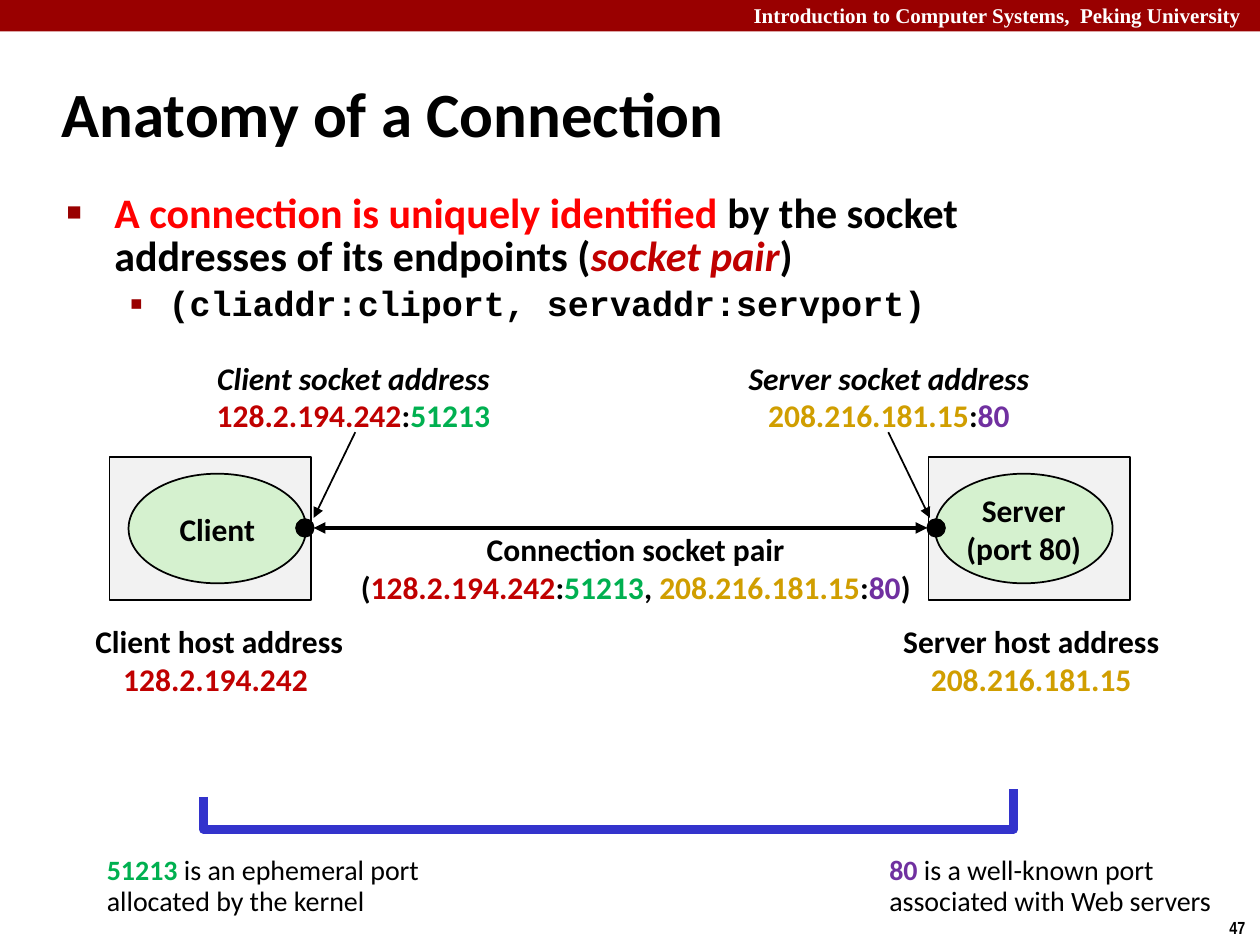
from lxml.etree import SubElement
from pptx import Presentation
from pptx.dml.color import RGBColor
from pptx.enum.shapes import MSO_CONNECTOR, MSO_SHAPE
from pptx.enum.text import MSO_ANCHOR, MSO_AUTO_SIZE, PP_ALIGN
from pptx.oxml.ns import qn
from pptx.util import Emu, Pt

PX = 9144  # 100 px to the inch

BLACK = RGBColor(0, 0, 0)
WHITE = RGBColor(255, 255, 255)
MAROON = RGBColor(0x99, 0, 0)
RED = RGBColor(0xFF, 0, 0)
CRIMSON = RGBColor(0xC0, 0, 0)
GREEN = RGBColor(0, 0xB0, 0x50)
GOLD = RGBColor(0xD0, 0x9E, 0)
PURPLE = RGBColor(0x70, 0x30, 0xA0)
BLUE = RGBColor(0x33, 0x33, 0xCC)
HOST_GRAY = RGBColor(0xF2, 0xF2, 0xF2)
PROCESS_GREEN = RGBColor(0xD5, 0xF1, 0xCF)


def bold(text, color=BLACK):
    """A run: text, colour and style, where style holds "b" and "i"."""
    return text, color, "b"


def px(*lengths):
    return [Emu(length * PX) for length in lengths]


CLIENT_IP = bold("128.2.194.242", CRIMSON)
CLIENT_PORT = bold("51213", GREEN)
SERVER_IP = bold("208.216.181.15", GOLD)
SERVER_PORT = bold("80", PURPLE)


class SlideBuilder:
    def __init__(self, slide, font="Calibri"):
        self.slide = slide
        self.font = font

    def add_paragraphs(self, frame, paragraphs, size, align=PP_ALIGN.LEFT, font=None,
                       spacing=None):
        """Fill a text frame; each paragraph is a list of runs."""
        for number, runs in enumerate(paragraphs):
            paragraph = frame.add_paragraph() if number else frame.paragraphs[0]
            paragraph.alignment = align
            if spacing:
                paragraph.line_spacing = spacing
            self.add_runs(paragraph, runs, size, font)

    def add_runs(self, paragraph, runs, size, font=None):
        for text, color, style in runs:
            run = paragraph.add_run()
            run.text = text
            run.font.name = font or self.font
            run.font.size = Pt(size)
            run.font.bold = "b" in style
            run.font.italic = "i" in style
            run.font.color.rgb = color

    def text(self, box, paragraphs, size, anchor=MSO_ANCHOR.TOP, wrap=False, grow=True, **style):
        frame = self.slide.shapes.add_textbox(*px(*box)).text_frame
        frame.word_wrap = wrap
        frame.auto_size = MSO_AUTO_SIZE.SHAPE_TO_FIT_TEXT if grow else MSO_AUTO_SIZE.NONE
        frame.vertical_anchor = anchor
        self.add_paragraphs(frame, paragraphs, size, **style)
        return frame

    def label(self, box, *paragraphs, wrap=False):
        self.text(box, paragraphs, 18, MSO_ANCHOR.MIDDLE, wrap, align=PP_ALIGN.CENTER)

    def bullet(self, paragraph, char, margin, hanging, percent):
        properties = paragraph._p.get_or_add_pPr()
        properties.set("marL", str(margin * PX))
        properties.set("indent", str(-hanging * PX))
        color = SubElement(properties, qn("a:buClr"))
        SubElement(color, qn("a:srgbClr"), val=str(MAROON))
        SubElement(properties, qn("a:buSzPct"), val=str(percent * 1000))
        SubElement(properties, qn("a:buFont"), typeface="Arial")
        SubElement(properties, qn("a:buChar"), char=char)

    def shape(self, kind, box, fill, outlined=True, paragraphs=()):
        shape = self.slide.shapes.add_shape(kind, *px(*box))
        shape.shadow.inherit = False
        shape.fill.solid()
        shape.fill.fore_color.rgb = fill
        if outlined:
            shape.line.color.rgb = BLACK
            shape.line.width = Pt(1)
        else:
            shape.line.fill.background()
        if paragraphs:
            shape.text_frame.word_wrap = False
            shape.text_frame.vertical_anchor = MSO_ANCHOR.MIDDLE
            self.add_paragraphs(shape.text_frame, paragraphs, 18, PP_ALIGN.CENTER)

    def line(self, start, end, width, color=BLACK, ends=(), kind=MSO_CONNECTOR.STRAIGHT):
        connector = self.slide.shapes.add_connector(kind, *px(*start, *end))
        connector.line.color.rgb = color
        connector.line.width = Pt(width)
        properties = connector._element.spPr
        for end_tag in ends:
            SubElement(properties.find(qn("a:ln")), qn(end_tag), type="triangle")
        SubElement(properties, qn("a:effectLst"))
        return connector

    def bracket(self, start, end, width, color, depth):
        """Elbow turned a quarter; depth is a percentage of the height difference."""
        connector = self.line(start, end, width, color, kind=MSO_CONNECTOR.ELBOW)
        properties = connector._element.spPr
        properties.find(qn("a:xfrm")).set("rot", str(90 * 60000))
        adjustments = properties.find(qn("a:prstGeom")).get_or_add_avLst()
        SubElement(adjustments, qn("a:gd"), name="adj1", fmla=f"val {-depth * 1000}")


def add_heading(builder):
    builder.shape(MSO_SHAPE.RECTANGLE, (0, 0, 1000, 25), MAROON, outlined=False)
    builder.text((475, -3, 524, 30),
                 [[bold("Introduction to Computer Systems,  Peking University ", WHITE)]],
                 12, wrap=True, align=PP_ALIGN.RIGHT, font="Times New Roman")
    builder.text((966, 723, 34, 27), [[bold("47")]], 10, font="Arial Narrow")
    builder.text((39, 48, 830, 83), [[bold("Anatomy of a Connection")]], 36,
                 MSO_ANCHOR.MIDDLE, wrap=True, grow=False)


def add_definition(builder):
    frame = builder.text((43, 149, 864, 126), [], 24, wrap=True, grow=False)
    statement = frame.paragraphs[0]
    statement.line_spacing = 0.85
    builder.bullet(statement, "■", 38, 38, 60)
    builder.add_runs(statement, [
        bold("A connection is uniquely identified ", RED),
        bold("by the socket addresses of its endpoints ("),
        ("socket pair", CRIMSON, "bi"), bold(")")], 24)
    pair = frame.add_paragraph()
    pair.level = 1
    pair.line_spacing = 0.9
    pair.space_before = Pt(4)
    builder.bullet(pair, "▪", 81, 31, 110)
    builder.add_runs(pair, [bold("(cliaddr:cliport, servaddr:servport)")], 20, "Courier New")


def add_connection(builder):
    colon = bold(":")
    client_socket = [CLIENT_IP, colon, CLIENT_PORT]
    server_socket = [SERVER_IP, colon, SERVER_PORT]

    for host_left, process_left, caption in (
            (87, 102, [[bold("Client")]]),
            (737, 742, [[bold("Server")], [bold("(port 80)")]])):
        builder.shape(MSO_SHAPE.RECTANGLE, (host_left, 363, 160, 113), HOST_GRAY)
        builder.shape(MSO_SHAPE.OVAL, (process_left, 376, 141, 87), PROCESS_GREEN,
                      paragraphs=caption)
    builder.label((274, 415, 461, 71), [bold("Connection socket pair")],
                  [bold("("), *client_socket, bold(", "), *server_socket, bold(")")])

    builder.line((249, 419), (736, 419), 2.25, ends=("a:headEnd", "a:tailEnd"))
    for endpoint_left in (235, 736):
        builder.shape(MSO_SHAPE.OVAL, (endpoint_left, 412, 14, 14), BLACK)

    builder.label((161, 279, 239, 71), [("Client socket address", BLACK, "bi")], client_socket)
    builder.label((564, 279, 283, 71), [("Server socket address", BLACK, "bi")], server_socket,
                  wrap=True)
    for label_x, endpoint_x in ((282, 249), (705, 738)):
        builder.line((label_x, 343), (endpoint_x, 411), 1, ends=("a:tailEnd",))

    builder.label((65, 488, 218, 71), [bold("Client host address")],
                  [bold("128.2.194.242 ", CRIMSON)])
    builder.label((706, 488, 225, 71), [bold("Server host address")], [SERVER_IP])


def add_port_notes(builder):
    for left, port, meaning, detail in (
            (75, bold("51213 ", GREEN), "is an ephemeral port", "allocated by the kernel"),
            (696, bold("80 ", PURPLE), "is a well-known port", "associated with Web servers")):
        builder.text((left, 675, 280, 59), [[port, (meaning, BLACK, "")], [(detail, BLACK, "")]],
                     16, spacing=0.9)
    builder.bracket((486, 951), (480, 308), 5, BLUE, depth=431)


def main():
    presentation = Presentation()
    presentation.slide_width, presentation.slide_height = px(1000, 750)
    builder = SlideBuilder(presentation.slides.add_slide(presentation.slide_layouts[6]))
    add_heading(builder)
    add_definition(builder)
    add_connection(builder)
    add_port_notes(builder)
    presentation.save("out.pptx")


if __name__ == "__main__":
    main()
